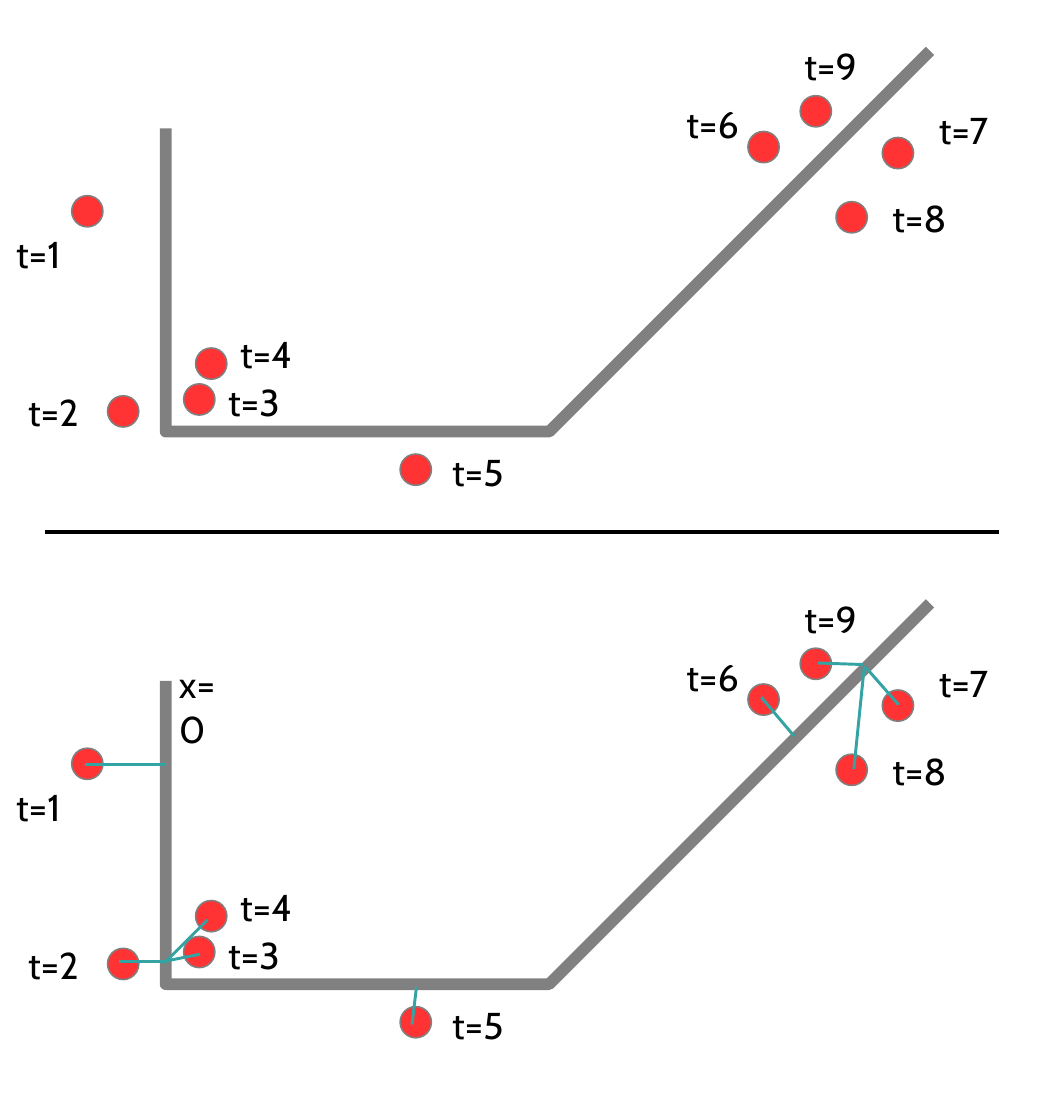
from dataclasses import dataclass

from lxml import etree
from pptx import Presentation
from pptx.dml.color import RGBColor
from pptx.enum.shapes import MSO_CONNECTOR, MSO_SHAPE
from pptx.enum.text import MSO_AUTO_SIZE
from pptx.oxml.ns import qn
from pptx.util import Inches, Pt

STRAIGHT = MSO_CONNECTOR.STRAIGHT
OVAL = MSO_SHAPE.OVAL
FIT_SHAPE = MSO_AUTO_SIZE.SHAPE_TO_FIT_TEXT
BLANK_LAYOUT = 6


@dataclass(frozen=True)
class Theme:
    """Colours, font and sizes of the slide."""
    track: RGBColor = RGBColor(0x80, 0x80, 0x80)
    point: RGBColor = RGBColor(0xFF, 0x33, 0x33)
    match: RGBColor = RGBColor(0x33, 0xA3, 0xA3)
    ink: RGBColor = RGBColor(0, 0, 0)
    font: str = "Cabin"
    text_size: Pt = Pt(18)
    track_width: Pt = Pt(5.67)
    match_width: Pt = Pt(1.42)
    hairline: Pt = Pt(0)


@dataclass(frozen=True)
class Box:
    """Region of the slide, in inches."""
    left: float
    top: float

    def place(self, x, y):
        """Turn a position inside the region into slide lengths."""
        return Inches(self.left + x), Inches(self.top + y)


THEME = Theme()
POINT_SIZE = 0.21
LABEL_WIDTH, LABEL_HEIGHT = 0.58, 0.44
TOP_PANEL, BOTTOM_PANEL = Box(0, 0), Box(0, 3.7)
TRACK = [(1.11, 0.86), (1.11, 2.89), (3.68, 2.89), (6.23, 0.34)]
POINTS = [
    (0.48, 1.31), (0.72, 2.65), (1.23, 2.57), (1.31, 2.33), (2.68, 3.04),
    (5.01, 0.88), (5.91, 0.92), (5.60, 1.35), (5.36, 0.64),
]
LABELS = [
    (0.01, 1.50), (0.09, 2.56), (1.43, 2.49), (1.51, 2.17), (2.93, 2.96),
    (4.50, 0.63), (6.19, 0.67), (5.88, 1.26), (5.29, 0.24),
]
MATCHES = [
    ((0.57, 1.42), (1.11, 1.42)),
    ((0.80, 2.74), (1.09, 2.74)),
    ((1.10, 2.75), (1.39, 2.46)),
    ((1.09, 2.74), (1.34, 2.69)),
    ((2.79, 2.91), (2.76, 3.16)),
    ((5.10, 0.97), (5.32, 1.23)),
    ((5.80, 0.77), (6.02, 1.02)),
    ((5.79, 0.76), (5.72, 1.45)),
    ((5.78, 0.75), (5.48, 0.74)),
]


def add_line(page, box, start, end, color, width):
    """Draw a straight line between two positions of a region."""
    line = page.shapes.add_connector(STRAIGHT, *box.place(*start), *box.place(*end))
    line.line.color.rgb = color
    line.line.width = width
    etree.SubElement(line._element.spPr, qn("a:effectLst"))


def add_track(page, box):
    """Draw the bent track with round corners."""
    start, *corners = [box.place(*corner) for corner in TRACK]
    builder = page.shapes.build_freeform(*start)
    builder.add_line_segments(corners, close=False)
    track = builder.convert_to_shape()
    track.shadow.inherit = False
    track.fill.background()
    track.line.color.rgb = THEME.track
    track.line.width = THEME.track_width
    etree.SubElement(track.line._get_or_add_ln(), qn("a:round"))


def add_point(page, box, position):
    """Draw one measured point."""
    point = page.shapes.add_shape(
        OVAL, *box.place(*position), Inches(POINT_SIZE), Inches(POINT_SIZE))
    point.shadow.inherit = False
    point.fill.solid()
    point.fill.fore_color.rgb = THEME.point
    point.line.color.rgb = THEME.track
    point.line.width = THEME.hairline


def add_label(page, box, position, text, width=LABEL_WIDTH):
    """Write a label and return its text frame."""
    label = page.shapes.add_textbox(
        *box.place(*position), Inches(width), Inches(LABEL_HEIGHT))
    frame = label.text_frame
    frame.word_wrap = False
    frame.auto_size = FIT_SHAPE
    para = frame.paragraphs[0]
    para.text = text
    para.font.name = THEME.font
    para.font.size = THEME.text_size
    para.font.color.rgb = THEME.ink
    return frame


def add_panel(page, box):
    """Draw the track with its points and time labels."""
    add_track(page, box)
    for position in POINTS:
        add_point(page, box, position)
    for time, position in enumerate(LABELS, start=1):
        add_label(page, box, position, f"t={time}")


def add_matches(page, box):
    """Join the points to the track and mark its origin."""
    for start, end in MATCHES:
        add_line(page, box, start, end, THEME.match, THEME.match_width)
    origin = add_label(page, box, (1.10, 0.68), "x=0", width=0.62)
    origin.word_wrap = True
    origin.margin_right = Inches(0.2)


def main():
    """Build the slide and save it."""
    deck = Presentation()
    deck.slide_width, deck.slide_height = Inches(7), Inches(7.5)
    page = deck.slides.add_slide(deck.slide_layouts[BLANK_LAYOUT])
    for panel in (TOP_PANEL, BOTTOM_PANEL):
        add_panel(page, panel)
    add_matches(page, BOTTOM_PANEL)
    add_line(page, TOP_PANEL, (0.3, 3.56), (6.69, 3.56), THEME.ink, THEME.hairline)
    deck.save("out.pptx")


if __name__ == "__main__":
    main()
